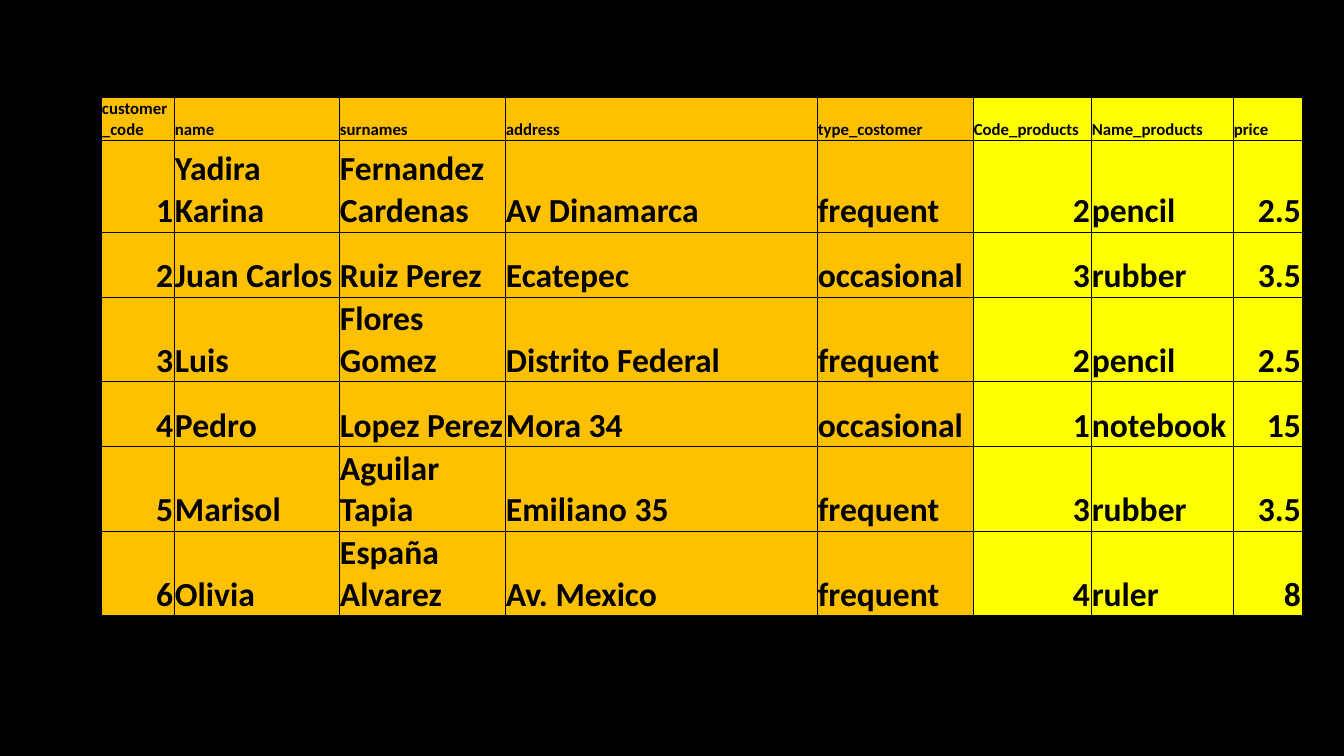
import pptx
import pptx.util
import pptx.dml.color
import pptx.enum.text
import pptx.oxml
import pptx.oxml.ns

RGB = pptx.dml.color.RGBColor
BLACK = RGB(0, 0, 0)
AMBER = RGB(255, 192, 0)
YELLOW = RGB(255, 255, 0)

ROWS = [
    ("customer_code", "name", "surnames", "address", "type_costomer",
     "Code_products", "Name_products", "price"),
    ("1", "Yadira Karina", "Fernandez Cardenas", "Av Dinamarca", "frequent", "2", "pencil", "2.5"),
    ("2", "Juan Carlos", "Ruiz Perez", "Ecatepec", "occasional", "3", "rubber", "3.5"),
    ("3", "Luis", "Flores Gomez", "Distrito Federal", "frequent", "2", "pencil", "2.5"),
    ("4", "Pedro", "Lopez Perez", "Mora 34", "occasional", "1", "notebook", "15"),
    ("5", "Marisol", "Aguilar Tapia", "Emiliano 35", "frequent", "3", "rubber", "3.5"),
    ("6", "Olivia", "España Alvarez", "Av. Mexico", "frequent", "4", "ruler", "8"),
]
WIDTHS = [73, 165, 166, 312, 156, 118, 142, 69]
HEIGHTS = [42, 92] + [65] * 5
LEFT, TOP = 101, 97
NUMERIC = {0, 5, 7}
PRODUCT = 5


def px(n):
    return pptx.util.Emu(round(n * 914400 / 100.8))


def border(cell):
    props = cell._tc.get_or_add_tcPr()
    for i, side in enumerate(("lnL", "lnR", "lnT", "lnB")):
        props.insert(i, pptx.oxml.parse_xml(
            f'<a:{side} {pptx.oxml.ns.nsdecls("a")} w="2921"><a:solidFill>'
            f'<a:srgbClr val="{BLACK}"/></a:solidFill></a:{side}>'))


def fill(cell, text, size, color, right):
    cell.fill.solid()
    cell.fill.fore_color.rgb = color
    cell.margin_left = cell.margin_right = cell.margin_top = px(1)
    cell.margin_bottom = 0
    cell.vertical_anchor = pptx.enum.text.MSO_ANCHOR.BOTTOM
    para = cell.text_frame.paragraphs[0]
    para.line_spacing = 1.02
    align = pptx.enum.text.PP_ALIGN
    para.alignment = align.RIGHT if right else align.LEFT
    run = para.add_run()
    run.text = text
    run.font.name = "Calibri"
    run.font.size = pptx.util.Pt(size)
    run.font.bold = True
    run.font.color.rgb = BLACK
    border(cell)


def main():
    deck = pptx.Presentation()
    deck.slide_width, deck.slide_height = px(1344), px(756)
    slide = deck.slides.add_slide(deck.slide_layouts[6])
    slide.background.fill.solid()
    slide.background.fill.fore_color.rgb = BLACK
    table = slide.shapes.add_table(
        len(ROWS), len(WIDTHS), px(LEFT), px(TOP),
        px(sum(WIDTHS)), px(sum(HEIGHTS))).table
    table.horz_banding = False
    for col, width in zip(table.columns, WIDTHS):
        col.width = px(width)
    for row, height in zip(table.rows, HEIGHTS):
        row.height = px(height)
    for r, row in enumerate(ROWS):
        for c, text in enumerate(row):
            fill(table.cell(r, c), text, 24 if r else 12,
                 YELLOW if c >= PRODUCT else AMBER, r > 0 and c in NUMERIC)
    deck.save("out.pptx")


if __name__ == "__main__":
    main()
